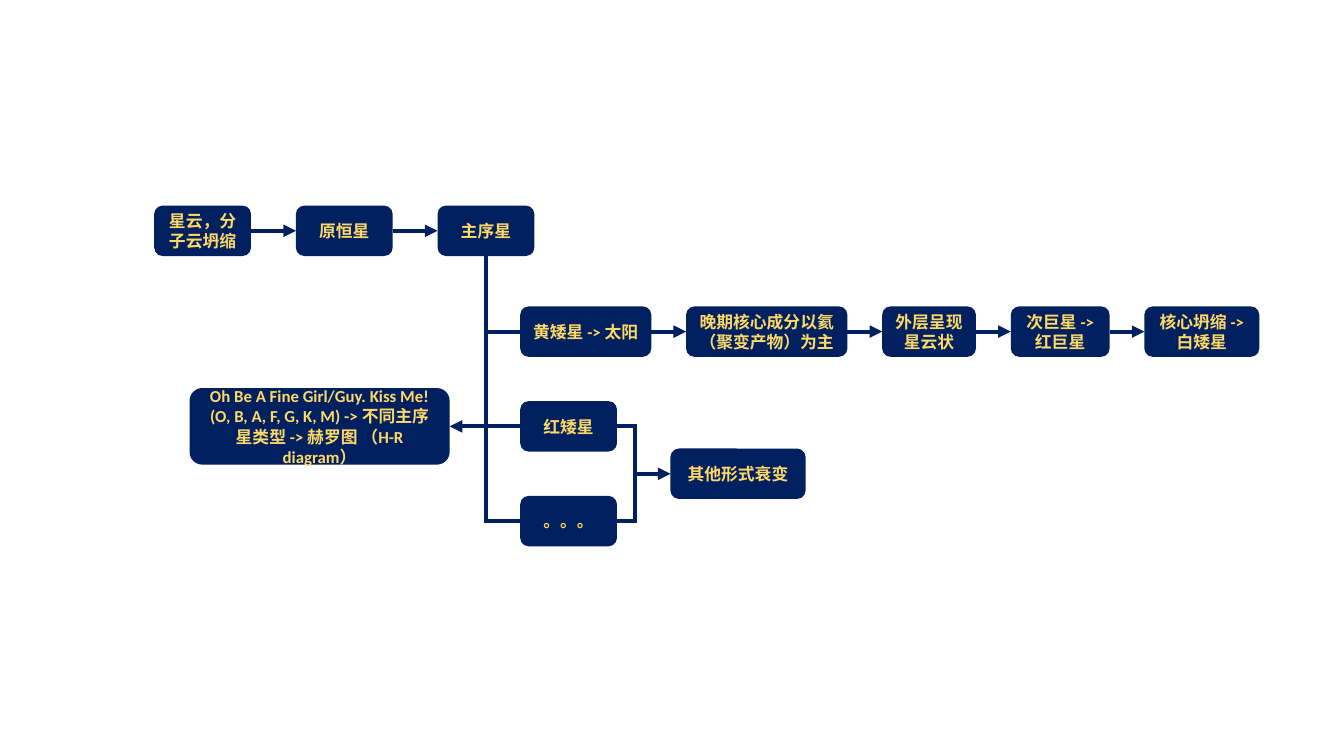
"""Draw a flow chart of how stars evolve."""
from dataclasses import dataclass

from lxml import etree
from pptx import Presentation
from pptx import util as u
from pptx.dml.color import RGBColor
from pptx.enum import shapes, text
from pptx.oxml import ns


@dataclass(frozen=True)
class Theme:
    """Hold the colours, sizes and grid of the chart."""
    navy: RGBColor = RGBColor.from_string("002060")
    gold: RGBColor = RGBColor.from_string("FFD966")
    font: str = "Calibri"
    size: int = 12
    line: int = 3
    cell: float = 0.1
    tall: float = 5
    wide: float = 9.6


LOOK = Theme()
RIGHT, LEFT = 3, 1


def grid(count):
    """Turn a count of grid cells into a length."""
    return u.Inches(count * LOOK.cell)


def box(slide, left, mid, wide, words, tall=LOOK.tall):
    """Add a rounded box centred on the row mid."""
    node = slide.shapes.add_shape(
        shapes.MSO_SHAPE.ROUNDED_RECTANGLE,
        *map(grid, (left, mid - tall / 2, wide, tall)))
    node.shadow.inherit = False
    node.fill.solid()
    node.fill.fore_color.rgb = LOOK.navy
    node.line.fill.background()
    frame = node.text_frame
    frame.word_wrap = True
    frame.vertical_anchor = text.MSO_ANCHOR.MIDDLE
    frame.text = words
    for para in frame.paragraphs:
        para.alignment = text.PP_ALIGN.CENTER
        font = para.font
        font.name, font.size, font.bold = LOOK.font, u.Pt(LOOK.size), True
        font.color.rgb = LOOK.gold
    return node


def wire(slide, start, end, arrow=False):
    """Add a straight line, with an arrowhead at its end if asked."""
    line = slide.shapes.add_connector(
        shapes.MSO_CONNECTOR.STRAIGHT, *map(grid, (*start, *end)))
    line.line.color.rgb = LOOK.navy
    line.line.width = u.Pt(LOOK.line)
    if arrow:
        etree.SubElement(line.line._get_or_add_ln(), ns.qn("a:tailEnd"),
                         type="triangle")
    etree.SubElement(line._element.spPr, ns.qn("a:effectLst"))
    return line


def chain(slide, left, right, mid, steps):
    """Spread boxes evenly from left to right and join them by arrows."""
    gap = (right - left - sum(wide for _, wide in steps)) / (len(steps) - 1)
    last = None
    for words, wide in steps:
        node = box(slide, left, mid, wide, words)
        if last is not None:
            link = wire(slide, (left - gap, mid), (left, mid), True)
            link.begin_connect(last, RIGHT)
            link.end_connect(node, LEFT)
        last, left = node, left + wide + gap


def main():
    """Build the slide and save it."""
    deck = Presentation()
    deck.slide_width, deck.slide_height = u.Inches(13.33), u.Inches(7.5)
    slide = deck.slides.add_slide(deck.slide_layouts[6])

    top, left, trunk, merge = 22.9, 51.6, 48.2, 63
    rows = sun, red, more = [32.9 + 9.4 * step for step in range(3)]
    fork = (red + more) / 2
    over = 0.2

    chain(slide, 15.3, 53, top, [
        (words, LOOK.wide) for words in ("星云，分子云坍缩", "原恒星", "主序星")])
    chain(slide, left, 124.9, sun, [
        ("黄矮星 -> 太阳", 13), ("晚期核心成分以氦（聚变产物）为主", 16),
        ("外层呈现星云状", 9.3), ("次巨星 -> 红巨星", 9.8),
        ("核心坍缩 -> 白矮星", 11.4)])

    wire(slide, (trunk, top + LOOK.tall / 2), (trunk, more + over))
    for mid in rows:
        wire(slide, (left, mid), (trunk, mid))

    for mid, words in ((red, "红矮星"), (more, "。。。")):
        box(slide, left, mid, LOOK.wide, words)
        wire(slide, (left + LOOK.wide, mid), (merge, mid))
    wire(slide, (merge, red - over), (merge, more + over))
    box(slide, 66.5, fork, 13.4, "其他形式衰变")
    wire(slide, (merge, fork), (66.5, fork), True)

    box(slide, 18.8, red, 25.8,
        "Oh Be A Fine Girl/Guy. Kiss Me!\n"
        "(O, B, A, F, G, K, M) -> 不同主序星类型 -> 赫罗图 （H-R diagram）", 7.6)
    wire(slide, (trunk, red), (44.6, red), True)

    deck.save("out.pptx")


if __name__ == "__main__":
    main()
